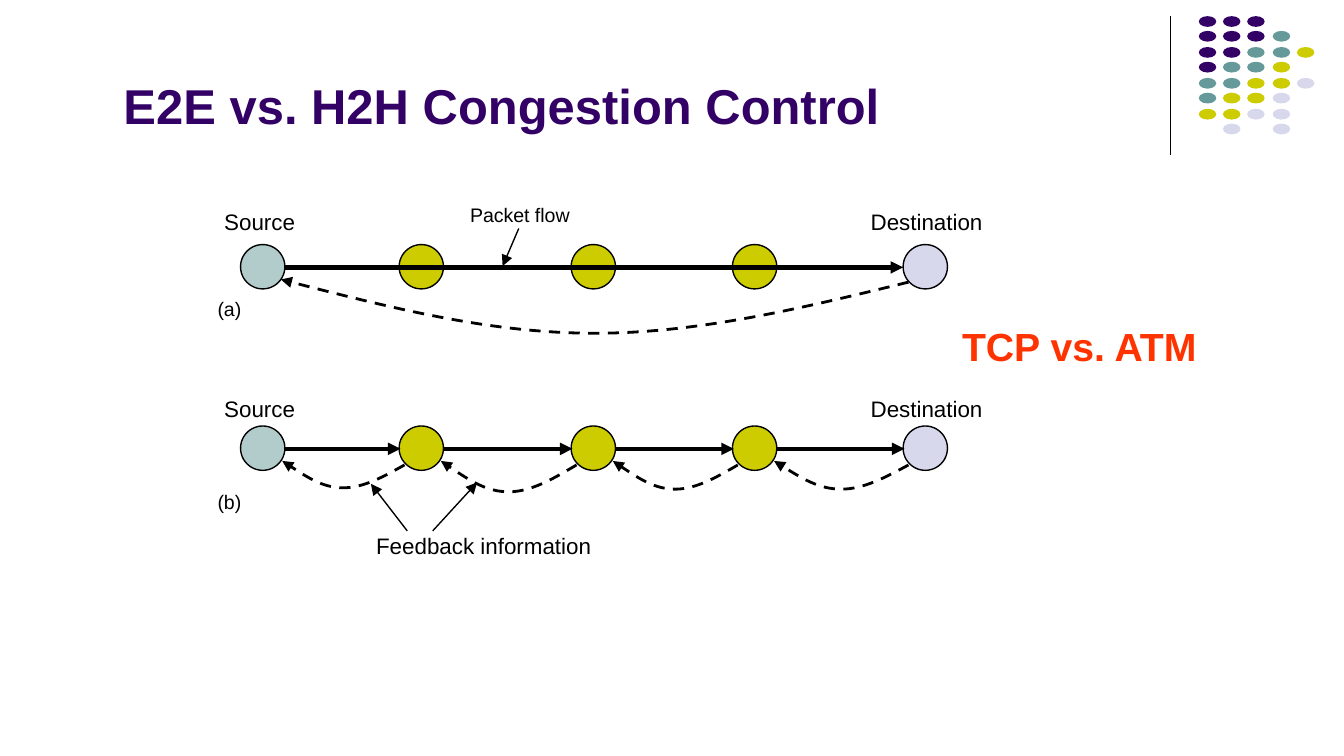
from dataclasses import dataclass
from lxml.etree import SubElement
from pptx import Presentation
from pptx.dml.color import RGBColor
from pptx.enum.dml import MSO_LINE
from pptx.enum.shapes import MSO_CONNECTOR, MSO_SHAPE
from pptx.enum.text import MSO_ANCHOR, MSO_AUTO_SIZE
from pptx.oxml.ns import qn
from pptx.util import Pt

PX = 9144  # EMU per px, 100 px to the inch
WIDE = 1000
HIGH = WIDE * 9 / 16


@dataclass(frozen=True)
class Theme:
    font: str = "Arial"
    ink: str = "000000"
    plum: str = "330066"
    teal: str = "669999"
    lime: str = "CCCC00"
    pale: str = "D8D8EC"
    mist: str = "B1CCCB"
    red: str = "FF3300"
    title: float = 26.25
    note: float = 21
    label: float = 12
    small: float = 10.5
    thin: float = 0.75
    dash: float = 1.5
    thick: float = 2.25


T = Theme()


def rgb(code):
    return RGBColor.from_string(code)


def text(slide, box, words, size=T.label, color=T.ink, bold=False,
         anchor=MSO_ANCHOR.MIDDLE, wrap=False):
    shape = slide.shapes.add_textbox(*(n * PX for n in box))
    frame = shape.text_frame
    frame.word_wrap = wrap
    frame.auto_size = MSO_AUTO_SIZE.NONE if wrap else MSO_AUTO_SIZE.SHAPE_TO_FIT_TEXT
    frame.vertical_anchor = anchor
    run = frame.paragraphs[0].add_run()
    run.text = words
    font = run.font
    font.name, font.size, font.bold = T.font, Pt(size), bold
    font.color.rgb = rgb(color)


def stroke(shape, width, head=False):
    shape.line.width = Pt(width)
    shape.line.color.rgb = rgb(T.ink)
    if head:
        ln = shape._element.spPr.find(qn("a:ln"))
        SubElement(ln, qn("a:tailEnd"), type="triangle")


def line(slide, x1, y1, x2, y2, width=T.thin, head=True):
    link = slide.shapes.add_connector(
        MSO_CONNECTOR.STRAIGHT, x1 * PX, y1 * PX, x2 * PX, y2 * PX)
    stroke(link, width, head)
    SubElement(link._element.spPr, qn("a:effectLst"))


def oval(slide, x, y, w, h, color, edge=False):
    shape = slide.shapes.add_shape(MSO_SHAPE.OVAL, x * PX, y * PX, w * PX, h * PX)
    shape.shadow.inherit = False
    shape.fill.solid()
    shape.fill.fore_color.rgb = rgb(color)
    if edge:
        stroke(shape, T.thin)
    else:
        shape.line.fill.background()


def arc(slide, x1, y1, x2, y2, low):
    """Dashed arrow that sags to low: two cubic curves, points at equal steps."""
    drops = [y1, (y1 + low) / 2, low, low, low, (y2 + low) / 2, y2]
    pts = [(round((x1 + (x2 - x1) * i / 6) * PX), round(y * PX))
           for i, y in enumerate(drops)]
    form = slide.shapes.build_freeform(*pts[0])
    form.add_line_segments(pts[1:], close=False)
    shape = form.convert_to_shape()
    shape.shadow.inherit = False
    shape.fill.background()
    # Turn each three straight steps into one cubic curve
    steps = shape._element.xpath(".//a:lnTo")
    track = steps[0].getparent()
    for i in (0, 3):
        curve = SubElement(track, qn("a:cubicBezTo"))
        for step in steps[i:i + 3]:
            curve.append(step[0])
            track.remove(step)
    shape.line.dash_style = MSO_LINE.DASH
    stroke(shape, T.dash, head=True)


def corner(slide, x, y):
    # Rule and dot grid at the top right
    line(slide, x, y, x, y + 103, head=False)
    hues = {"P": T.plum, "T": T.teal, "Y": T.lime, "L": T.pale}
    rows = "PPP PPPT PPTTY PTTY TTYYL TYYL YYLL .L.L".split()
    for r, row in enumerate(rows):
        for c, key in enumerate(row):
            if key in hues:
                oval(slide, x + 21 + round(c * 18.25), y + round(r * 80 / 7),
                     13, 8, hues[key])


SIZE = 33  # node diameter
NODES = (0, 118, 246, 366, 493)  # left edges within a row


def row(slide, x, y, tag, rise, drop):
    # Nodes, end labels and the row tag
    for dx, color in zip(NODES, (T.mist, T.lime, T.lime, T.lime, T.pale)):
        oval(slide, x + dx, y, SIZE, SIZE, color, edge=True)
    text(slide, (x - 22, y - rise, 73, 30), "Source")
    text(slide, (x + 459, y - rise, 104, 30), "Destination")
    text(slide, (x - 27, y + drop, 38, 28), tag, size=T.small)


def direct(slide, x, y):
    # End-to-end: one flow, one feedback arc
    row(slide, x, y, "(a)", 32, 34)
    last = x + NODES[-1]
    line(slide, x + SIZE, y + 17, last, y + 17, T.thick)
    arc(slide, last + 4, y + 28, x + SIZE - 3, y + 26, y + 66)
    text(slide, (x + 161, y - 36, 96, 28), "Packet flow", size=T.small)
    line(slide, x + 207, y - 12, x + 195, y + 16)


def hops(slide, x, y):
    # Hop-by-hop: a flow and a feedback arc for each pair of nodes
    row(slide, x, y, "(b)", 28, 42)
    for a, b, sag in zip(NODES, NODES[1:], (46, 49, 47, 47)):
        line(slide, x + a + SIZE, y + 17, x + b + 1, y + 17, T.thick)
        arc(slide, x + b + 4, y + 29, x + a + SIZE - 2, y + 26, y + sag)
    text(slide, (x + 91, y + 74, 182, 30), "Feedback information")
    line(slide, x + 124, y + 78, x + 97, y + 43)
    line(slide, x + 143, y + 78, x + 176, y + 42)


def main():
    deck = Presentation()
    deck.slide_width, deck.slide_height = WIDE * PX, round(HIGH * PX)
    slide = deck.slides.add_slide(deck.slide_layouts[6])
    corner(slide, 871, 12)
    direct(slide, 179, 182)
    hops(slide, 179, 317)
    # Title and side note
    text(slide, (82, 21, 699, 84), "E2E vs. H2H Congestion Control", size=T.title,
         color=T.plum, bold=True, anchor=MSO_ANCHOR.BOTTOM, wrap=True)
    text(slide, (706, 235, 196, 45), "TCP vs. ATM", size=T.note,
         color=T.red, bold=True, anchor=MSO_ANCHOR.TOP)
    deck.save("out.pptx")


if __name__ == "__main__":
    main()
